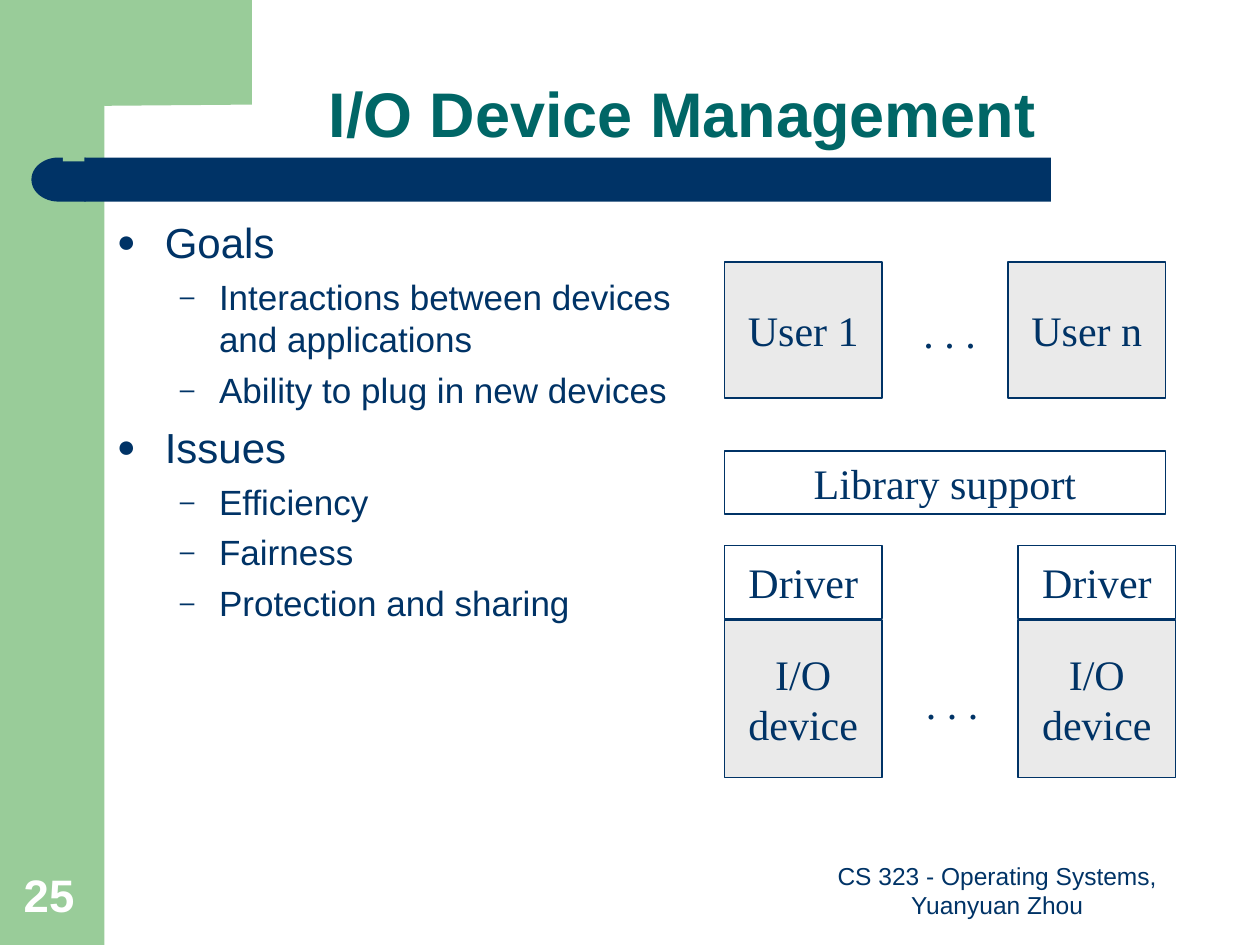
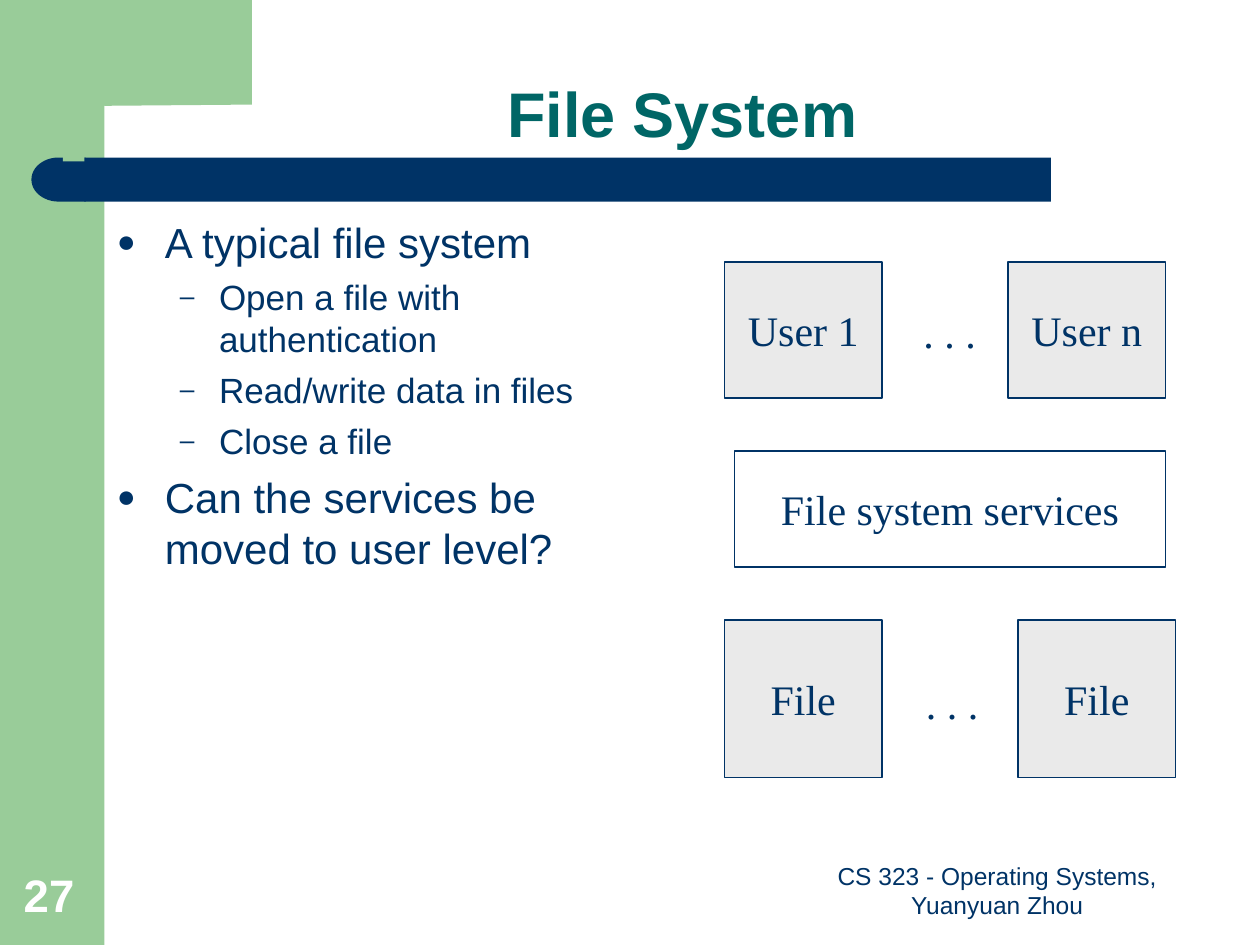
"""Build two operating-systems lecture slides: I/O device management and file system."""
from lxml import etree
from pptx import Presentation, util as u
from pptx.dml import color
from pptx.enum import shapes, text
from pptx.oxml import ns

GREEN, NAVY, TEAL, GREY, WHITE = "99CC99", "003366", "006666", "EAEAEA", "FFFFFF"
SANS, SERIF = "Arial", "Times New Roman"
FOOTER = "CS 323 - Operating Systems, Yuanyuan Zhou"
CENTER, LEFT = text.PP_ALIGN.CENTER, text.PP_ALIGN.LEFT
TOP, MIDDLE, BOTTOM = text.MSO_ANCHOR.TOP, text.MSO_ANCHOR.MIDDLE, text.MSO_ANCHOR.BOTTOM
RECT = shapes.MSO_SHAPE.RECTANGLE
CORNER = [(200, 83), (83, 84), (81, 83), (77, 85), (74, 88), (71, 92), (69, 98),
          (68, 104), (67, 116), (67, 128), (50, 128), (50, 0)]
BULLETS = [("●", 24, 0.38, -0.38, 6), ("–", 20, 0.81, -0.31, 5)]
rgb = color.RGBColor.from_string


def write(frame, words, font=SERIF, size=24, ink=NAVY, bold=False, align=CENTER,
          anchor=MIDDLE, wrap=False, spacing=None):
    """Fill a text frame, one paragraph per line of words."""
    frame.word_wrap = wrap
    frame.auto_size = text.MSO_AUTO_SIZE.NONE
    frame.vertical_anchor = anchor
    for number, line in enumerate(words.split("\n")):
        paragraph = frame.add_paragraph() if number else frame.paragraphs[0]
        paragraph.alignment = align
        paragraph.line_spacing = spacing
        run = paragraph.add_run()
        run.text = line
        run.font.name, run.font.size, run.font.bold = font, u.Pt(size), bold
        run.font.color.rgb = rgb(ink)


def paint(shape, fill, line=None):
    """Give a shape a flat fill and, if asked, a thin outline."""
    shape.shadow.inherit = False
    shape.fill.solid()
    shape.fill.fore_color.rgb = rgb(fill)
    if line:
        shape.line.color.rgb = rgb(line)
        shape.line.width = u.Pt(1)
    else:
        shape.line.fill.background()
    return shape


users = [("User 1", 5.75, 2.08, 1.25, 1.08, GREY), ("User n", 8, 2.08, 1.25, 1.08, GREY)]
devices = [("I/O\ndevice", x, 4.92, 1.25, 1.25, GREY) for x in (5.75, 8.08)]
drivers = [("Driver", x, 4.33, 1.25, 0.58, WHITE) for x in (5.75, 8.08)]
files = [("File", x, 4.92, 1.25, 1.25, GREY) for x in (5.75, 8.08)]
library = ("Library support", 5.75, 3.58, 3.5, 0.5, WHITE)
services = ("File system services", 5.83, 3.58, 3.42, 0.92, WHITE)

lectures = [
    ("I/O Device Management", "25", 4.62,
     [(0, "Goals"), (1, "Interactions between devices and applications"),
      (1, "Ability to plug in new devices"), (0, "Issues"), (1, "Efficiency"),
      (1, "Fairness"), (1, "Protection and sharing")],
     [*users, library, *devices, *drivers]),
    ("File System", "27", 4.21,
     [(0, "A typical file system"), (1, "Open a file with authentication"),
      (1, "Read/write data in files"), (1, "Close a file"),
      (0, "Can the services be moved to user level?")],
     [*users, services, *files]),
]

deck = Presentation()
deck.slide_width, deck.slide_height = u.Inches(10), u.Inches(7.5)

for heading, page, outline_width, outline, blocks in lectures:
    slide = deck.slides.add_slide(deck.slide_layouts[5])
    items = slide.shapes

    for preset, place, fill in [
            (RECT, (0, 0, 0.83, 7.5), GREEN),
            (RECT, (0.67, 1.25, 7.67, 0.35), NAVY),
            (shapes.MSO_SHAPE.FLOWCHART_DELAY, (0.25, 1.25, 0.43, 0.35), NAVY)]:
        band = paint(items.add_shape(preset, *map(u.Inches, place)), fill)
    band._element.spPr.get_or_add_xfrm().set("flipH", "1")
    corner = items.build_freeform(200, 0, scale=u.Inches(0.01))
    corner.add_line_segments(CORNER, close=True)
    paint(corner.convert_to_shape(), GREEN)

    title = items.title
    title.left, title.top, title.width, title.height = map(u.Inches, (1.08, 0, 8.67, 1.25))
    write(title.text_frame, heading, font=SANS, size=36, ink=TEAL, bold=True,
          anchor=BOTTOM, wrap=True, spacing=0.9)

    body = items.add_textbox(*map(u.Inches, (0.83, 1.67, outline_width, 5.17))).text_frame
    write(body, "\n".join(point for level, point in outline), font=SANS,
          align=LEFT, anchor=TOP, wrap=True)
    for number, (level, point) in enumerate(outline):
        mark, size, margin, indent, before = BULLETS[level]
        paragraph = body.paragraphs[number]
        paragraph.level = level
        paragraph.runs[0].font.size = u.Pt(size)
        properties = paragraph._p.get_or_add_pPr()
        properties.set("marL", str(u.Inches(margin)))
        properties.set("indent", str(u.Inches(indent)))
        tint = etree.SubElement(properties, ns.qn("a:buClr"))
        etree.SubElement(tint, ns.qn("a:srgbClr"), val=NAVY)
        etree.SubElement(properties, ns.qn("a:buSzPct"), val="75000")
        etree.SubElement(properties, ns.qn("a:buFont"), typeface=SANS)
        etree.SubElement(properties, ns.qn("a:buChar"), char=mark)
        paragraph.space_before = u.Pt(before if number else 0)

    for label, x, y, width, height, fill in blocks:
        block = items.add_shape(RECT, *map(u.Inches, (x, y, width, height)))
        write(paint(block, fill, NAVY).text_frame, label)
    for x, y in [(7.23, 2.38), (7.25, 5.33)]:
        dots = items.add_textbox(*map(u.Inches, (x, y, 0.61, 0.5)))
        write(dots.text_frame, ". . .", align=LEFT, anchor=TOP)

    footer = items.add_textbox(*map(u.Inches, (6.33, 6.83, 3.17, 0.52)))
    write(footer.text_frame, FOOTER, font=SANS, size=14, anchor=BOTTOM, wrap=True)
    folio = items.add_textbox(*map(u.Inches, (0.09, 6.83, 0.64, 0.53)))
    write(folio.text_frame, page, font=SANS, size=26, ink=WHITE, bold=True,
          align=LEFT, anchor=BOTTOM, wrap=True)

deck.save("out.pptx")
